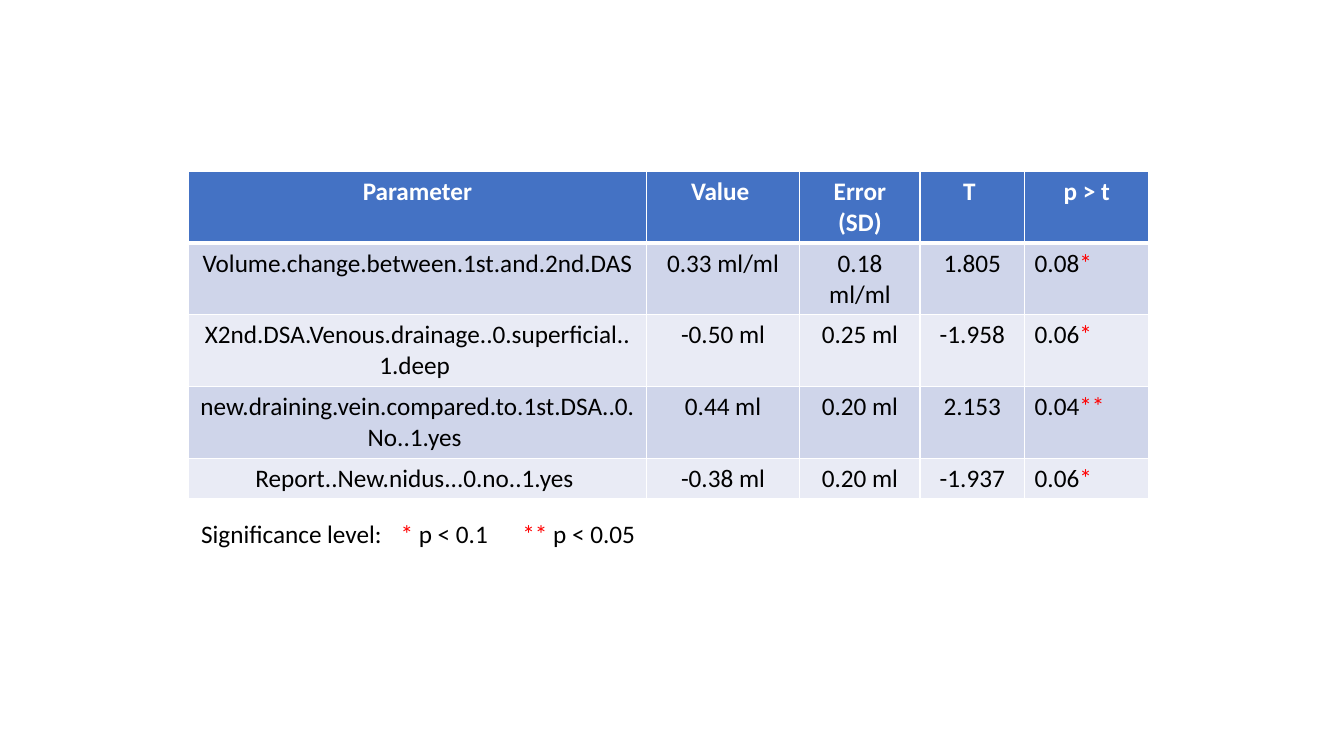
from lxml import etree
from pptx import Presentation
from pptx.dml.color import RGBColor
from pptx.enum import text as t
from pptx.oxml import ns
from pptx.util import Pt

WHITE = RGBColor(0xFF, 0xFF, 0xFF)
BLACK = RGBColor(0x00, 0x00, 0x00)
RED = RGBColor(0xFF, 0x00, 0x00)
HEADER_BLUE = RGBColor(0x44, 0x72, 0xC4)
BANDS = [RGBColor(0xCF, 0xD5, 0xEA), RGBColor(0xE9, 0xEB, 0xF5)]

COLUMN_WIDTHS = [326.8, 109.8, 85.8, 74.8, 88.6]
ROW_HEIGHTS = [51.1, 51.1, 51.1, 51.1, 29.2]
HEADERS = ["Parameter", "Value ", "Error (SD)", "T ", "p > t"]
RESULTS = [
    ["Volume.change.between.1st.and.2nd.DAS", "0.33 ml/ml", "0.18 ml/ml", "1.805", "0.08*"],
    ["X2nd.DSA.Venous.drainage..0.superficial..1.deep ", "-0.50 ml", "0.25 ml", "-1.958", "0.06*"],
    ["new.draining.vein.compared.to.1st.DSA..0.No..1.yes ", "0.44 ml", "0.20 ml", "2.153", "0.04**"],
    ["Report..New.nidus...0.no..1.yes ", "-0.38 ml", "0.20 ml", "-1.937", "0.06*"],
]
LEGEND = [("Significance level:\t", BLACK), ("*", RED), (" p < 0.1\t", BLACK),
          ("**", RED), (" p < 0.05", BLACK)]
LEGEND_TABS = [142.5, 229.5]


def add_spans(para, spans, bold=False):
    """Append coloured runs to a paragraph."""
    for words, color in spans:
        span = para.add_run()
        span.text = words
        span.font.name = "Calibri"
        span.font.size = Pt(18)
        span.font.bold = bold
        span.font.color.rgb = color


def set_borders(cell, top, bottom):
    """Give a cell white borders, with its own top and bottom widths."""
    properties = cell._tc.get_or_add_tcPr()
    for side, width in [("L", 1), ("R", 1), ("T", top), ("B", bottom)]:
        line = etree.SubElement(properties, ns.qn("a:ln" + side), w=str(Pt(width)))
        fill = etree.SubElement(line, ns.qn("a:solidFill"))
        etree.SubElement(fill, ns.qn("a:srgbClr"), val=str(WHITE))


def fill_cell(cell, spans, color, align, bold=False):
    """Colour a cell and write its text."""
    cell.fill.solid()
    cell.fill.fore_color.rgb = color
    para = cell.text_frame.paragraphs[0]
    para.alignment = align
    add_spans(para, spans, bold)


def significance_spans(value):
    """Split a p value from its red significance stars."""
    number = value.rstrip("*")
    return [(number, BLACK), (value[len(number):], RED)]


def add_results_table(page):
    """Draw the regression results table."""
    frame = page.shapes.add_table(len(ROW_HEIGHTS), len(COLUMN_WIDTHS), Pt(134.8), Pt(122.6),
                                  Pt(sum(COLUMN_WIDTHS)), Pt(sum(ROW_HEIGHTS)))
    table = frame.table
    for column, width in zip(table.columns, COLUMN_WIDTHS):
        column.width = Pt(width)
    for row, height in zip(table.rows, ROW_HEIGHTS):
        row.height = Pt(height)

    center, left = t.PP_ALIGN.CENTER, t.PP_ALIGN.LEFT
    for i, values in enumerate([HEADERS] + RESULTS):
        for j, value in enumerate(values):
            cell = table.cell(i, j)
            set_borders(cell, top=3 if i == 1 else 1, bottom=3 if i == 0 else 1)
            if i == 0:
                fill_cell(cell, [(value, WHITE)], HEADER_BLUE, center, bold=True)
            elif j == len(values) - 1:
                fill_cell(cell, significance_spans(value), BANDS[(i - 1) % 2], left)
            else:
                fill_cell(cell, [(value, BLACK)], BANDS[(i - 1) % 2], center)


def add_legend(page):
    """Write the significance legend, spaced with tab stops."""
    box = page.shapes.add_textbox(Pt(136.6), Pt(366.5), Pt(330), Pt(29))
    box.text_frame.word_wrap = True
    para = box.text_frame.paragraphs[0]
    tabs = etree.SubElement(para._p.get_or_add_pPr(), ns.qn("a:tabLst"))
    for position in LEGEND_TABS:
        etree.SubElement(tabs, ns.qn("a:tab"), pos=str(Pt(position)), algn="l")
    add_spans(para, LEGEND)


def main():
    """Build and save the slide."""
    deck = Presentation()
    deck.slide_width, deck.slide_height = Pt(960), Pt(540)
    page = deck.slides.add_slide(deck.slide_layouts[6])
    add_results_table(page)
    add_legend(page)
    deck.save("out.pptx")


main()
